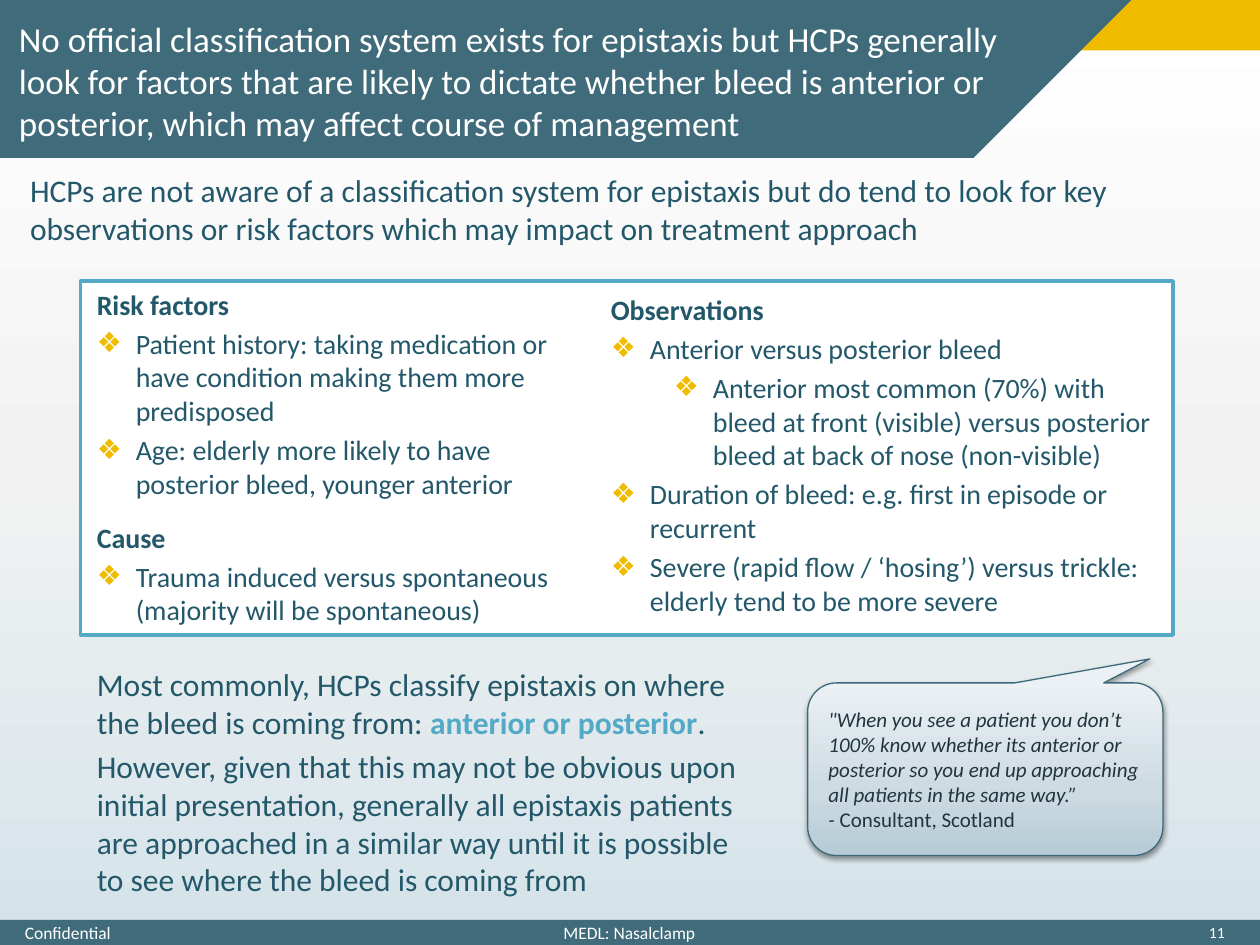
from dataclasses import dataclass

import lxml.etree
import pptx
import pptx.dml.color
import pptx.enum.shapes
import pptx.enum.text
import pptx.oxml.ns
import pptx.util

COLUMNS, ROWS = 100, 75
TEAL, DARK, SKY, GOLD, WHITE = "406B7A", "23586A", "54A9C6", "F0BC00", "FFFFFF"
SHAPES = pptx.enum.shapes.MSO_SHAPE
ALIGN = pptx.enum.text.PP_ALIGN
ANCHOR = pptx.enum.text.MSO_ANCHOR


@dataclass
class Area:
    column: float
    row: float
    columns: float
    rows: float


@dataclass
class Span:
    text: str
    bold: bool = False
    italic: bool = False
    color: str = ""


@dataclass
class Para:
    spans: list[Span]
    level: int = 0
    bullet: bool = False


@dataclass
class Style:
    size: float
    color: str
    align: ALIGN = ALIGN.LEFT
    anchor: ANCHOR = ANCHOR.TOP
    inset: bool = True
    spacing: float = 0.2


deck = pptx.Presentation()
deck.slide_width = pptx.util.Inches(10)
deck.slide_height = pptx.util.Inches(7.5)
page = deck.slides.add_slide(deck.slide_layouts[6])


def rgb(color: str) -> pptx.dml.color.RGBColor:
    return pptx.dml.color.RGBColor.from_string(color)


def place(area: Area) -> tuple[int, int, int, int]:
    across, down = deck.slide_width / COLUMNS, deck.slide_height / ROWS
    return (round(area.column * across), round(area.row * down),
            round(area.columns * across), round(area.rows * down))


def add_node(parent, tag: str, **attributes):
    return lxml.etree.SubElement(parent, pptx.oxml.ns.qn(tag), attributes)


def fill_gradient(fill, stops: list[tuple[int, str]], angle: int) -> None:
    fill.gradient()
    fill.gradient_angle = 360 - angle
    stop_list = fill._fill._gradFill.find(pptx.oxml.ns.qn("a:gsLst"))
    for stop in list(stop_list):
        stop_list.remove(stop)
    for share, color in stops:
        stop = add_node(stop_list, "a:gs", pos=str(share * 1000))
        add_node(stop, "a:srgbClr", val=color)


def add_block(kind: SHAPES, area: Area, fill: str = "", line: str = "", width: float = 1):
    block = page.shapes.add_shape(kind, *place(area))
    block.shadow.inherit = False
    if fill:
        block.fill.solid()
        block.fill.fore_color.rgb = rgb(fill)
    if line:
        block.line.color.rgb = rgb(line)
        block.line.width = pptx.util.Pt(width)
    else:
        block.line.fill.background()
    return block


def add_bullet(para, level: int) -> None:
    properties = para._p.get_or_add_pPr()
    properties.set("marL", str(pptx.util.Inches(0.31 + 0.5 * level)))
    properties.set("indent", str(-pptx.util.Inches(0.31)))
    add_node(add_node(properties, "a:buClr"), "a:srgbClr", val=GOLD)
    add_node(properties, "a:buFont", typeface="Calibri")
    add_node(properties, "a:buChar", char="❖")


def write(shape, paras: list[Para], style: Style) -> None:
    frame = shape.text_frame
    frame.word_wrap = True
    frame.vertical_anchor = style.anchor
    if not style.inset:
        frame.margin_left = frame.margin_right = frame.margin_top = frame.margin_bottom = 0
    for index, item in enumerate(paras):
        para = frame.add_paragraph() if index else frame.paragraphs[0]
        para.alignment = style.align
        para.level = item.level
        if item.bullet:
            add_bullet(para, item.level)
        if index and style.spacing:
            para.space_before = pptx.util.Pt(style.size * style.spacing)
        for piece in item.spans:
            span = para.add_run()
            span.text = piece.text
            span.font.name = "Calibri"
            span.font.size = pptx.util.Pt(style.size)
            span.font.bold = piece.bold
            span.font.italic = piece.italic
            span.font.color.rgb = rgb(piece.color or style.color)


def add_text(area: Area, paras: list[Para], style: Style) -> None:
    write(page.shapes.add_textbox(*place(area)), paras, style)


def plain(text: str) -> Para:
    return Para([Span(text)])


def heading(text: str) -> Para:
    return Para([Span(text, bold=True)])


def point(text: str, level: int = 0) -> Para:
    return Para([Span(text)], level, True)


def add_callout(area: Area, paras: list[Para]) -> None:
    callout = add_block(SHAPES.ROUNDED_RECTANGULAR_CALLOUT, area, line="3D6979", width=0.75)
    for index, value in enumerate((0.463, -0.639, 0.167)):
        callout.adjustments[index] = value
    fill_gradient(callout.fill, [(0, "B5CBD6"), (35, "CCDAE1"), (100, "EBF1F4")], 270)
    effects = callout._element.spPr.find(pptx.oxml.ns.qn("a:effectLst"))
    shadow = add_node(effects, "a:outerShdw", blurRad=str(pptx.util.Pt(3.1)),
                      dist=str(pptx.util.Pt(1.6)), dir="5400000", rotWithShape="0")
    add_node(add_node(shadow, "a:srgbClr", val="000000"), "a:alpha", val="38000")
    write(callout, paras, Style(12, "20353D", anchor=ANCHOR.MIDDLE, spacing=0))


def main() -> None:
    fill_gradient(page.background.fill, [(0, WHITE), (50, "F2F2F2"), (100, "D4E3E9")], 90)
    add_block(SHAPES.RECTANGLE, Area(0, 73, COLUMNS, 2), TEAL)
    add_block(SHAPES.RECTANGLE, Area(0, 0, COLUMNS, 4), GOLD)
    corner = add_block(SHAPES.RIGHT_TRIANGLE, Area(77.2, 0, 12.5, 12.5), TEAL, TEAL)
    corner._element.spPr.xfrm.set("flipV", "1")
    add_block(SHAPES.RECTANGLE, Area(0, 0, 77.2, 12.5), TEAL, TEAL)
    add_text(Area(34.3, 72.7, 31.3, 2.7), [plain("MEDL: Nasalclamp")],
             Style(10, WHITE, ALIGN.CENTER))
    add_text(Area(1, 72.7, 31.3, 2.7), [plain("Confidential")], Style(10, WHITE))
    add_block(SHAPES.RECTANGLE, Area(6.4, 22.3, 86.7, 28.1), WHITE, SKY, 2)
    add_text(Area(1.5, 1.4, 79.1, 9.9), [plain(
        "No official classification system exists for epistaxis but HCPs generally look for "
        "factors that are likely to dictate whether bleed is anterior or posterior, which may "
        "affect course of management")], Style(20, WHITE, anchor=ANCHOR.MIDDLE, inset=False))
    add_text(Area(92.3, 73, 4.9, 2), [plain("11")],
             Style(9, WHITE, ALIGN.RIGHT, ANCHOR.MIDDLE, False))

    body, detail = Style(18, DARK), Style(16, DARK)
    add_text(Area(1.4, 13.1, 97, 14.3), [plain(
        "HCPs are not aware of a classification system for epistaxis but do tend to look for key "
        "observations or risk factors which may impact on treatment approach")], body)
    add_callout(Area(64.1, 54.2, 28.2, 13.7), [
        Para([Span("\"When you see a patient you don’t 100% know whether its anterior or posterior "
                   "so you end up approaching all patients in the same way.”", italic=True)]),
        Para([Span("- ", italic=True), Span("Consultant, Scotland")])])
    add_text(Area(6.7, 22.3, 39.7, 18.2), [
        heading("Risk factors"),
        point("Patient history: taking medication or have condition making them more predisposed"),
        point("Age: elderly more likely to have posterior bleed, younger anterior")], detail)
    add_text(Area(1.7, 52.3, 59, 19.8), [
        Para([Span("Most commonly, HCPs classify epistaxis on where the bleed is coming from: "),
              Span("anterior or posterior", bold=True, color=SKY), Span(".")], 1),
        Para([Span("However, given that this may not be obvious upon initial presentation, "
                   "generally all epistaxis patients are approached in a similar way until it is "
                   "possible to see where the bleed is coming from")], 1)], body)
    add_text(Area(47.5, 22.7, 45.2, 27.4), [
        heading("Observations"),
        point("Anterior versus posterior bleed"),
        point("Anterior most common (70%) with bleed at front (visible) versus posterior bleed "
              "at back of nose (non-visible)", 1),
        point("Duration of bleed: e.g. first in episode or recurrent"),
        point("Severe (rapid flow / ‘hosing’) versus trickle: elderly tend to be more severe")],
        detail)
    add_text(Area(6.7, 40.8, 39.7, 9.6), [
        heading("Cause"),
        point("Trauma induced versus spontaneous (majority will be spontaneous)")], detail)
    deck.save("out.pptx")


if __name__ == "__main__":
    main()
